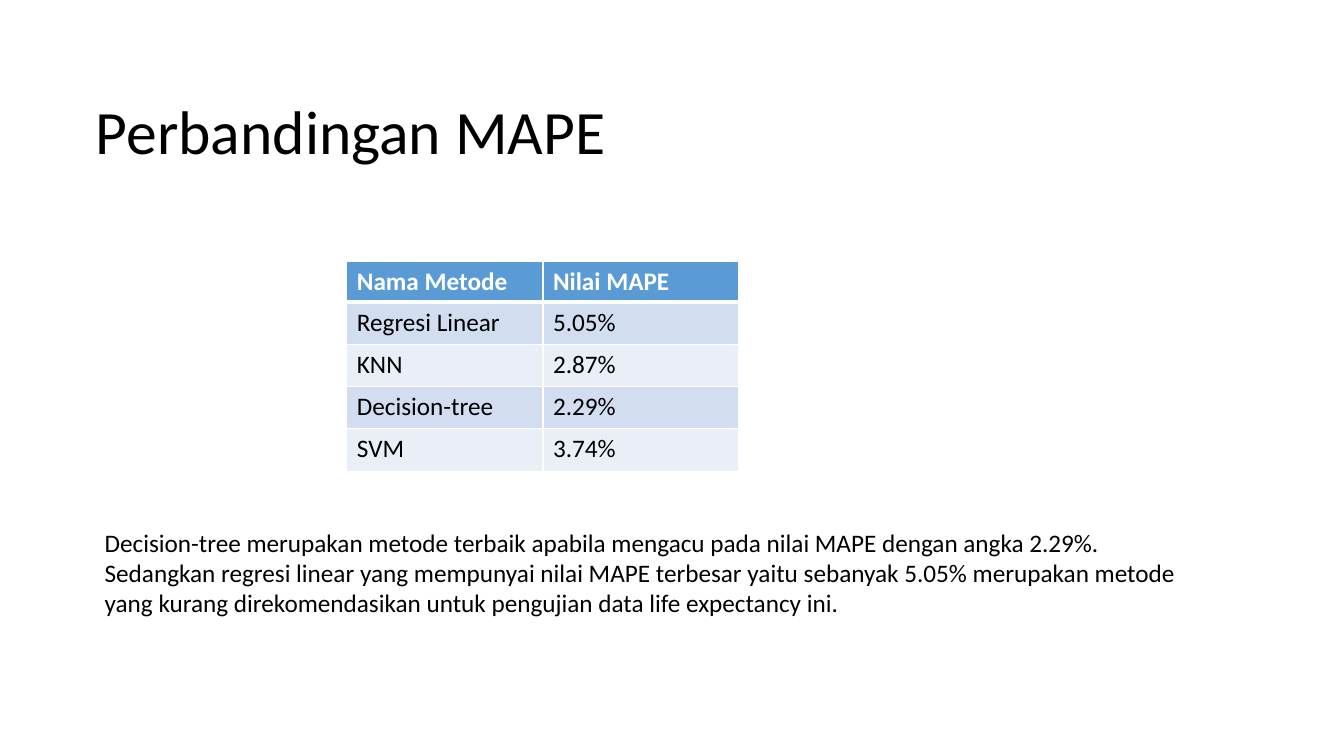
from lxml import etree
from pptx import Presentation
from pptx.dml.color import RGBColor
from pptx.enum import text
from pptx.oxml import ns
from pptx.util import Inches, Pt

COLORS = {"header": "5B9BD5", "odd": "D2DEEF", "even": "EAEFF7",
          "white": "FFFFFF", "black": "000000"}


def style_text(paragraph, size, color="black", bold=False):
    for run in paragraph.runs:
        run.font.name = "Calibri"
        run.font.size = Pt(size)
        run.font.bold = bold
        run.font.color.rgb = RGBColor.from_string(COLORS[color])


def add_border(cell, side, width):
    line = etree.SubElement(cell._tc.get_or_add_tcPr(), ns.qn(f"a:{side}"),
                            w=str(Pt(width)))
    fill = etree.SubElement(line, ns.qn("a:solidFill"))
    etree.SubElement(fill, ns.qn("a:srgbClr"), val=COLORS["white"])


prs = Presentation()
prs.slide_width, prs.slide_height = Inches(13.33), Inches(7.5)
slide = prs.slides.add_slide(prs.slide_layouts[5])

# Title
title = slide.shapes.title
title.left, title.top = Inches(0.85), Inches(0.61)
title.width, title.height = Inches(11.5), Inches(1.45)
title.text_frame.text = "Perbandingan MAPE"
title.text_frame.vertical_anchor = text.MSO_ANCHOR.MIDDLE
heading = title.text_frame.paragraphs[0]
heading.alignment = text.PP_ALIGN.LEFT
heading.line_spacing = 0.9
style_text(heading, 44)

# MAPE by method
mape_rows = [
    ("Nama Metode", "Nilai MAPE"),
    ("Regresi Linear", "5.05%"),
    ("KNN", "2.87%"),
    ("Decision-tree", "2.29%"),
    ("SVM", "3.74%"),
]
mape = slide.shapes.add_table(len(mape_rows), 2, Inches(3.44), Inches(2.59),
                              Inches(3.89), Inches(2.07)).table
for r, values in enumerate(mape_rows):
    is_header = r == 0
    mape.rows[r].height = Inches(0.4 if is_header else 0.42)
    band = "header" if is_header else "odd" if r % 2 else "even"
    for c, value in enumerate(values):
        cell = mape.cell(r, c)
        cell.text_frame.text = value
        style_text(cell.text_frame.paragraphs[0], 18,
                   "white" if is_header else "black", is_header)
        # Borders come before the fill in the cell properties
        for side in ("lnL", "lnR", "lnT", "lnB"):
            thick = (is_header and side == "lnB") or (r == 1 and side == "lnT")
            add_border(cell, side, 3 if thick else 1)
        cell.fill.solid()
        cell.fill.fore_color.rgb = RGBColor.from_string(COLORS[band])

# Conclusion
conclusion = slide.shapes.add_textbox(Inches(0.94), Inches(5.18),
                                      Inches(10.87), Inches(1.01)).text_frame
conclusion.word_wrap = False
conclusion.auto_size = text.MSO_AUTO_SIZE.SHAPE_TO_FIT_TEXT
conclusion.text = "\n".join([
    "Decision-tree merupakan metode terbaik apabila mengacu pada nilai MAPE dengan angka 2.29%. ",
    "Sedangkan regresi linear yang mempunyai nilai MAPE terbesar yaitu sebanyak 5.05% merupakan metode ",
    "yang kurang direkomendasikan untuk pengujian data life expectancy ini. ",
])
for sentence in conclusion.paragraphs:
    style_text(sentence, 18)

prs.save("out.pptx")
